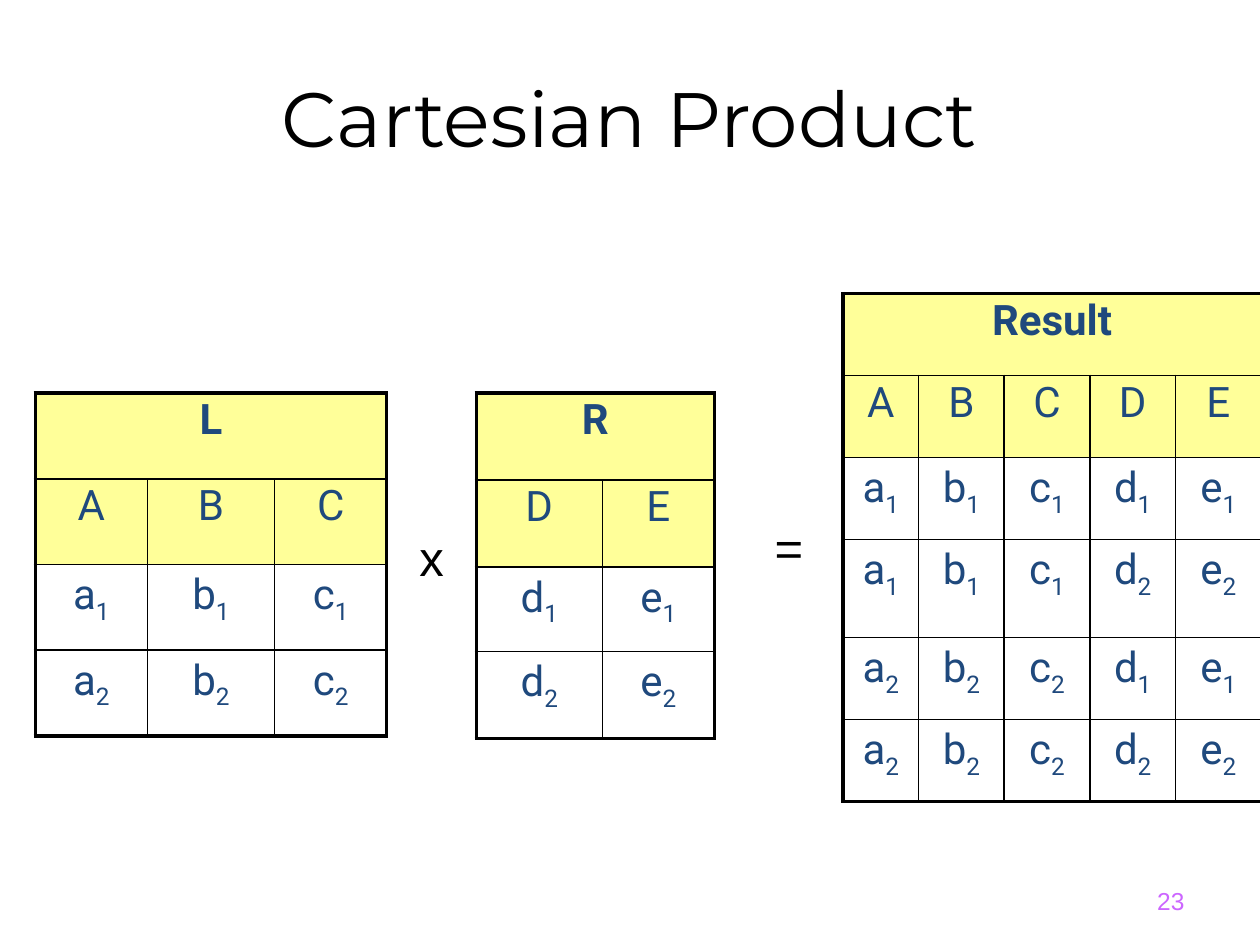
"""Build the Cartesian Product slide: relations L and R and their product."""
from lxml import etree
from pptx import Presentation
from pptx.dml.color import RGBColor
from pptx.enum.text import MSO_ANCHOR, MSO_AUTO_SIZE, PP_ALIGN
from pptx.oxml.ns import qn
from pptx.util import Inches, Pt

LEFT, CENTER, RIGHT = PP_ALIGN.LEFT, PP_ALIGN.CENTER, PP_ALIGN.RIGHT
TOP, MIDDLE = MSO_ANCHOR.TOP, MSO_ANCHOR.MIDDLE
GROW, FIXED = MSO_AUTO_SIZE.SHAPE_TO_FIT_TEXT, MSO_AUTO_SIZE.NONE
THICK, THIN = Pt(2.25), Pt(1)


def rgb(value):
    """Turn a hex string into a colour."""
    return RGBColor.from_string(value)


def add_run(paragraph, text, color, **values):
    """Add a run with the given font values."""
    run = paragraph.add_run()
    run.text = text
    for key, value in values.items():
        setattr(run.font, key, value)
    run.font.color.rgb = rgb(color)
    return run


prs = Presentation()
prs.slide_width, prs.slide_height = Inches(10), Inches(7.5)
slide = prs.slides.add_slide(prs.slide_layouts[5])

title = slide.shapes.title
title.left, title.top, title.width, title.height = map(Inches, (0.5, 0.3, 9, 1.25))
title.text_frame.vertical_anchor = MIDDLE
heading = title.text_frame.paragraphs[0]
heading.alignment = CENTER
add_run(heading, "Cartesian Product", "000000", name="Montserrat", size=Pt(44))

left_rows = ["a1 b1 c1".split(), "a2 b2 c2".split()]
right_rows = ["d1 e1".split(), "d2 e2".split()]
product_rows = [left + right for left in left_rows for right in right_rows]

relations = [
    ("L", "ABC", left_rows, (0.28, 3.12), (0.89, 1.01, 0.89), [0.68] * 4),
    ("R", "DE", right_rows, (3.78, 3.12), (1, 0.89), (0.69, 0.69, 0.67, 0.69)),
    ("Result", "ABCDE", product_rows, (6.69, 2.33), [0.6] + [0.68] * 4,
     (0.65, 0.65, 0.65, 0.78, 0.65, 0.65)),
]

for relation, attributes, tuples, (x, y), widths, heights in relations:
    row_count, column_count = len(heights), len(widths)
    table = slide.shapes.add_table(
        row_count, column_count, Inches(x), Inches(y),
        Inches(sum(widths)), Inches(sum(heights))).table
    table.first_row = table.horz_banding = False
    for column, width in zip(table.columns, widths):
        column.width = Inches(width)
    for row, height in zip(table.rows, heights):
        row.height = Inches(height)
    table.cell(0, 0).merge(table.cell(0, column_count - 1))

    content = [[relation] + [""] * (column_count - 1), list(attributes)] + tuples
    for r, entries in enumerate(content):
        for c, entry in enumerate(entries):
            cell = table.cell(r, c)
            margins = {"margin_left": 0, "margin_right": 0,
                       "margin_top": Inches(0.05), "margin_bottom": Inches(0.05)}
            for key, value in margins.items():
                setattr(cell, key, value)

            outer_edges = {"lnL": c == 0, "lnR": r == 0 or c == column_count - 1,
                           "lnT": r == 0, "lnB": r == row_count - 1}
            for edge, is_outer in outer_edges.items():
                border = etree.SubElement(cell._tc.get_or_add_tcPr(), qn(f"a:{edge}"),
                                          w=str(THICK if is_outer else THIN))
                border_fill = etree.SubElement(border, qn("a:solidFill"))
                etree.SubElement(border_fill, qn("a:srgbClr"), val="000000")

            if r < 2:
                cell.fill.solid()
                cell.fill.fore_color.rgb = rgb("FFFF99")
            else:
                cell.fill.background()

            if entry:
                paragraph = cell.text_frame.paragraphs[0]
                paragraph.alignment = CENTER
                paragraph.line_spacing = 0.9
                parts = [entry] if r < 2 else list(entry)
                for index, part in enumerate(parts):
                    run = add_run(paragraph, part, "1F497D", name="Roboto",
                                  size=Pt(24), bold=r == 0)
                    if index == 1:
                        run._r.get_or_add_rPr().set("baseline", "-25000")

labels = [
    ("x", (3.23, 4.14, 0.4, 0.57), 28, "000000", LEFT, TOP, False, GROW),
    ("=", (6.05, 4.06, 0.43, 0.57), 28, "000000", LEFT, TOP, False, GROW),
    ("23", (7.17, 6.95, 2.33, 0.4), 14, "CC66FF", RIGHT, MIDDLE, True, FIXED),
]
for text, place, size, color, alignment, anchor, wrap, fit in labels:
    frame = slide.shapes.add_textbox(*map(Inches, place)).text_frame
    frame_format = {"word_wrap": wrap, "auto_size": fit, "vertical_anchor": anchor}
    for key, value in frame_format.items():
        setattr(frame, key, value)
    frame.paragraphs[0].alignment = alignment
    add_run(frame.paragraphs[0], text, color, name="Arial", size=Pt(size))

prs.save("out.pptx")
